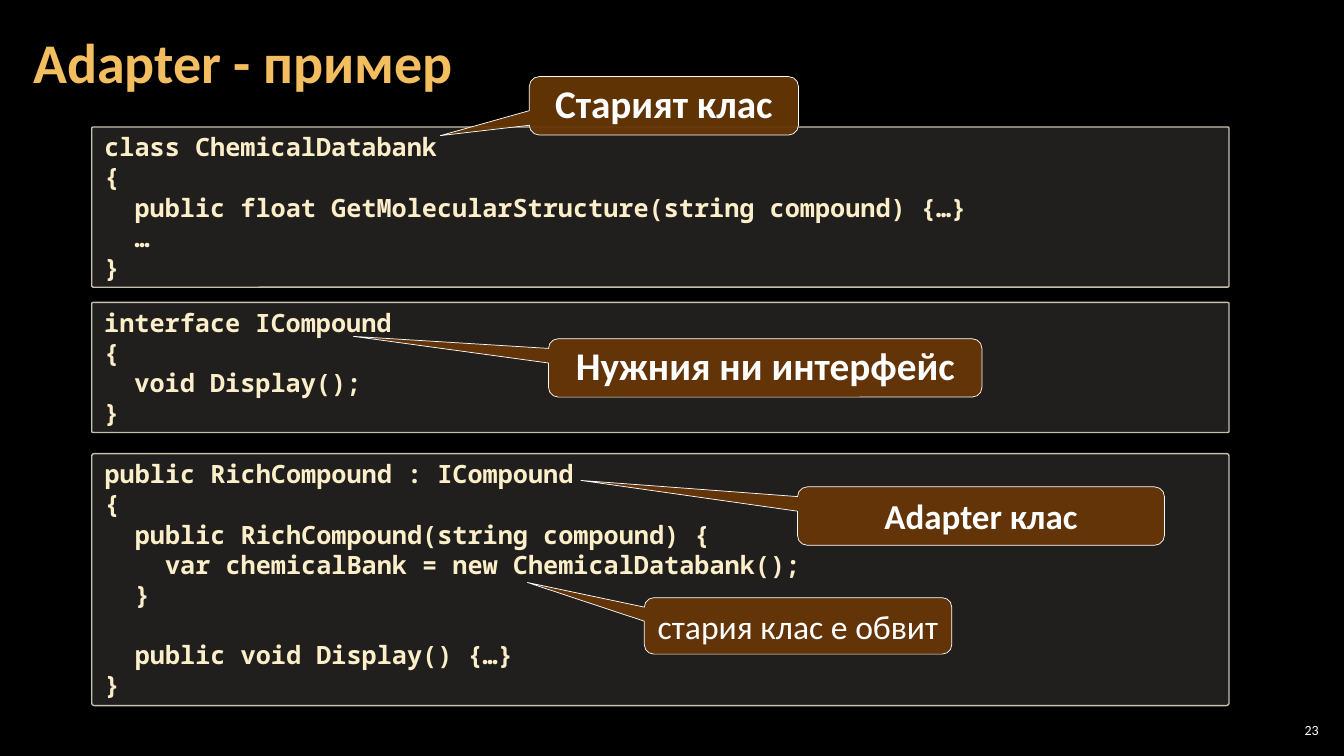
from dataclasses import dataclass

from lxml.etree import SubElement
from pptx import Presentation
from pptx.dml.color import RGBColor
from pptx.enum.shapes import MSO_SHAPE as Preset
from pptx.enum.text import MSO_ANCHOR as Anchor, MSO_AUTO_SIZE as AutoSize, PP_ALIGN as Align
from pptx.oxml.ns import qn
from pptx.util import Inches, Pt


@dataclass(frozen=True)
class Theme:
    background: str = "000000"
    title: str = "F3BE60"
    code: str = "FBEEC9"
    white: str = "FFFFFF"
    panel_fill: str = "D9D5C7"
    panel_line: str = "C7BFAC"
    callout_fill: str = "663606"
    text_font: str = "Calibri"
    code_font: str = "Noto Sans Mono"
    title_size: float = 40
    code_size: float = 18
    number_size: float = 10
    code_line: float = 21.4


theme = Theme()


def write(shape, text, *, size, color, font=theme.text_font, bold=False,
          align=Align.LEFT, anchor=Anchor.TOP, spacing=None, inset=(0.12, 0.04)):
    """Fill a shape with text; an empty line becomes space before the next one."""
    frame = shape.text_frame
    frame.word_wrap = True
    frame.vertical_anchor = anchor
    frame.margin_left = frame.margin_right = Inches(inset[0])
    frame.margin_top = frame.margin_bottom = Inches(inset[1])
    paragraph, gap = None, 0
    for line in text.split("\n"):
        if not line:
            gap += theme.code_line
            continue
        paragraph = frame.add_paragraph() if paragraph else frame.paragraphs[0]
        paragraph.alignment = align
        if spacing:
            paragraph.line_spacing = spacing
        if gap:
            paragraph.space_before = Pt(gap)
            gap = 0
        run = paragraph.add_run()
        run.text = line
        run.font.name = font
        run.font.size = Pt(size)
        run.font.bold = bold
        run.font.color.rgb = RGBColor.from_string(color)


def add_box(preset, box, adjustments, fill, opacity, line, line_width):
    """Add a translucent outlined shape that fits its text."""
    shape = slide.shapes.add_shape(preset, *map(Inches, box))
    shape.shadow.inherit = False
    for index, value in enumerate(adjustments):
        shape.adjustments[index] = value
    shape.fill.solid()
    shape.fill.fore_color.rgb = RGBColor.from_string(fill)
    fill_color = shape.fill._xPr.find(qn("a:solidFill"))[0]
    SubElement(fill_color, qn("a:alpha")).set("val", str(opacity * 1000))
    shape.line.color.rgb = RGBColor.from_string(line)
    shape.line.width = Pt(line_width)
    shape.text_frame.auto_size = AutoSize.SHAPE_TO_FIT_TEXT
    return shape


presentation = Presentation()
presentation.slide_width = Inches(13.33)
presentation.slide_height = Inches(7.5)
slide = presentation.slides.add_slide(presentation.slide_layouts[6])
slide.background.fill.solid()
slide.background.fill.fore_color.rgb = RGBColor.from_string(theme.background)

# Slide number and title
number = slide.shapes.add_textbox(Inches(12.65), Inches(7.14), Inches(0.47), Inches(0.21))
write(number, "23", size=theme.number_size, color=theme.white,
      align=Align.RIGHT, anchor=Anchor.MIDDLE, inset=(0.04, 0.04))
title = slide.shapes.add_textbox(Inches(0.21), Inches(0.04), Inches(10.47), Inches(1.21))
write(title, "Adapter - пример", size=theme.title_size, color=theme.title,
      bold=True, anchor=Anchor.MIDDLE, spacing=0.9)

# Code panels: top, height, code
old_class = """class ChemicalDatabank
{
  public float GetMolecularStructure(string compound) {…}
  …
}"""
needed_interface = """interface ICompound
{
  void Display();
}"""
adapter_class = """public RichCompound : ICompound
{
  public RichCompound(string compound) {
    var chemicalBank = new ChemicalDatabank();
  }

  public void Display() {…}
}"""
for top, height, code in [(1.26, 1.59, old_class),
                          (3, 1.29, needed_interface),
                          (4.5, 2.5, adapter_class)]:
    panel = add_box(Preset.ROUNDED_RECTANGLE, (0.91, top, 11.28, height), [0.01],
                    theme.panel_fill, 15, theme.panel_line, 1)
    write(panel, code, size=theme.code_size, color=theme.code,
          font=theme.code_font, bold=True)

# Callouts: text, box, pointer tip relative to the centre, size, bold, line spacing
callouts = [
    ("Старият клас", (5.25, 0.76, 2.67, 0.58), (-0.83, 0.51), 28, True, Pt(30)),
    ("Нужния ни интерфейс", (5.44, 3.36, 4.3, 0.58), (-0.95, -0.54), 28, True, Pt(30)),
    ("Adapter клас", (7.91, 4.83, 3.64, 0.58), (-1.09, -0.61), 25, True, Pt(30)),
    ("стария клас е обвит", (6.39, 5.93, 3.05, 0.56), (-0.88, -0.77), 24, False, None),
]
for text, box, tip, size, bold, spacing in callouts:
    callout = add_box(Preset.ROUNDED_RECTANGULAR_CALLOUT, box, [*tip, 0.17],
                      theme.callout_fill, 95, theme.white, 0.5)
    write(callout, text, size=size, color=theme.white, bold=bold,
          align=Align.CENTER, spacing=spacing, inset=(0.1, 0.05))

presentation.save("out.pptx")
